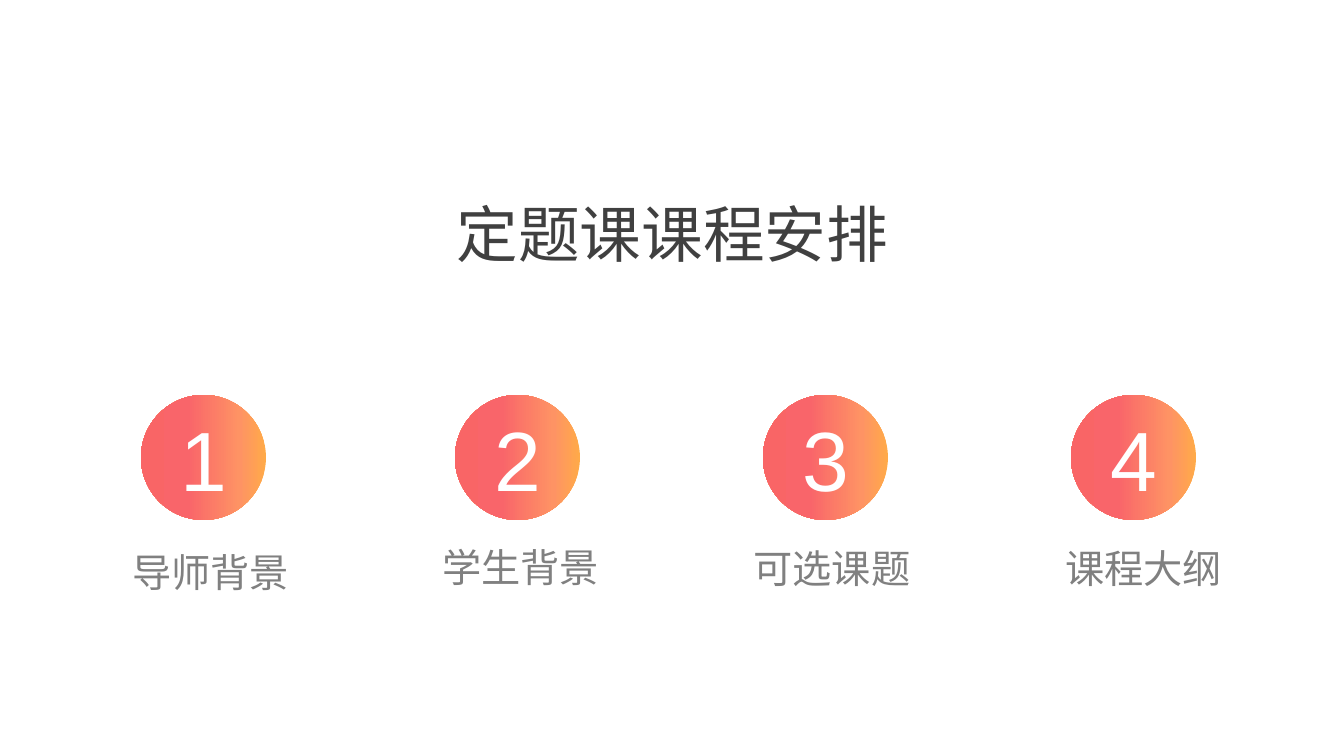
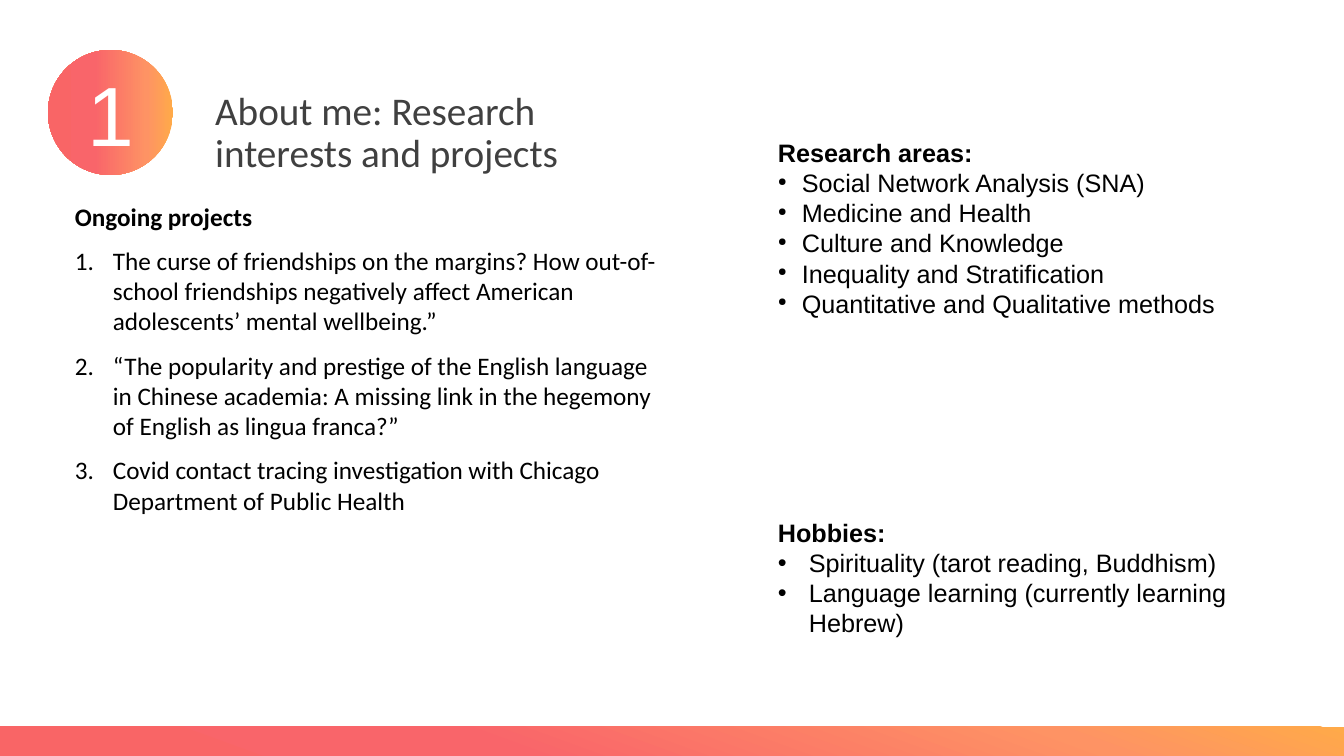
import pptx
import pptx.util
import pptx.dml.color
import pptx.enum.shapes
import pptx.enum.text
import pptx.oxml.ns
import lxml.etree

# Shared measures and colours
SCALE = 914400 / 100.8
COLORS = {"title": "404040", "label": "808080", "body": "000000", "number": "FFFFFF"}
GRADIENT = [(0, "FFAA49"), (21, "FE9364"), (63, "F9656A"), (100, "F96566")]
CIRCLE_SIZE = 125
SHAPES = pptx.enum.shapes.MSO_SHAPE
ALIGN = pptx.enum.text.PP_ALIGN
MIDDLE = pptx.enum.text.MSO_ANCHOR.MIDDLE
qn = pptx.oxml.ns.qn

deck = pptx.Presentation()
deck.slide_width = round(1344 * SCALE)
deck.slide_height = round(756 * SCALE)
title_only = deck.slide_layouts[5]


def write(box, place, lines, font, size, color, align=ALIGN.LEFT, anchor=None, spacing=None):
    """Place a box and fill it with evenly styled paragraphs."""
    box.left, box.top, box.width, box.height = [round(length * SCALE) for length in place]
    frame = box.text_frame
    frame.word_wrap = True
    frame.auto_size = pptx.enum.text.MSO_AUTO_SIZE.NONE
    frame.vertical_anchor = anchor or pptx.enum.text.MSO_ANCHOR.TOP
    frame.text = "\n".join(lines)
    for para in frame.paragraphs:
        para.alignment = align
        para.line_spacing = spacing
        para.font.name = font
        para.font.size = pptx.util.Pt(size)
        para.font.color.rgb = pptx.dml.color.RGBColor.from_string(COLORS[color])
    return frame


def add_gradient_shape(page, kind, place, angle):
    """Add a borderless shape with the deck's gradient, angle counter-clockwise."""
    shape = page.shapes.add_shape(kind, *[round(length * SCALE) for length in place])
    shape.shadow.inherit = False
    shape.line.fill.background()
    shape.fill.gradient()
    shape.fill.gradient_angle = angle
    stops = shape._element.spPr.find(".//" + qn("a:gsLst"))
    for stop in list(stops):
        stops.remove(stop)
    for position, color in GRADIENT:
        stop = lxml.etree.SubElement(stops, qn("a:gs"), pos=str(position * 1000))
        lxml.etree.SubElement(stop, qn("a:srgbClr"), val=color)
    return shape


# Pages and their titles
agenda = deck.slides.add_slide(title_only)
write(agenda.shapes.title, (118, 211, 1109, 53), ["定题课课程安排"],
      "Calibri", 44, "title", ALIGN.CENTER, MIDDLE, 0.9)

about = deck.slides.add_slide(title_only)
add_gradient_shape(about, SHAPES.RECTANGLE, (0, 727, 1344, 29), 250)
write(about.shapes.title, (205, 86, 410, 96), ["About me: Research interests and projects"],
      "Calibri", 28, "title", ALIGN.LEFT, MIDDLE, 0.9)

# Numbered circles
circles = [
    (agenda, "1", 141, 395),
    (agenda, "2", 455, 395),
    (agenda, "3", 763, 395),
    (agenda, "4", 1071, 395),
    (about, "1", 48, 50),
]
for page, number, left, top in circles:
    place = (left, top, CIRCLE_SIZE, CIRCLE_SIZE)
    circle = add_gradient_shape(page, SHAPES.OVAL, place, 180)
    write(circle, place, [number], "Arial", 60, "number", ALIGN.CENTER, MIDDLE)

# Agenda labels
labels = [
    ("导师背景", (114, 562, 193, 25)),
    ("学生背景", (429, 566, 183, 8)),
    ("可选课题", (736, 558, 192, 25)),
    ("课程大纲", (1038, 560, 211, 22)),
]
for label, place in labels:
    write(agenda.shapes.add_textbox(0, 0, 0, 0), place, [label],
          "Calibri", 28, "label", ALIGN.CENTER, MIDDLE, 0.9)

# Lists: place, font, space before, indent, bullet elements, lines
lists = [
    ((65, 196, 611, 490), "Calibri", 10, 38,
     [("a:buFont", {"typeface": "+mj-lt"}), ("a:buAutoNum", {"type": "arabicPeriod"})],
     ["Ongoing projects",
      "The curse of friendships on the margins? How out-of-school friendships "
      "negatively affect American adolescents’ mental wellbeing.”",
      "“The popularity and prestige of the English language in Chinese academia: "
      "A missing link in the hegemony of English as lingua franca?”",
      "Covid contact tracing investigation with Chicago Department of Public Health"]),
    ((768, 132, 527, 148), "Arial", 0, 24,
     [("a:buSzPct", {"val": "45000"}), ("a:buChar", {"char": "●"})],
     ["Research areas:",
      "Social Network Analysis (SNA)",
      "Medicine and Health",
      "Culture and Knowledge",
      "Inequality and Stratification",
      "Quantitative and Qualitative methods"]),
    ((768, 512, 517, 132), "Arial", 0, 31,
     [("a:buFont", {"typeface": "Arial"}), ("a:buChar", {"char": "•"})],
     ["Hobbies:",
      "Spirituality (tarot reading, Buddhism)",
      "Language learning (currently learning Hebrew)"]),
]
for place, font, gap, indent, bullet, lines in lists:
    box = about.shapes.add_textbox(0, 0, 0, 0)
    heading, *items = write(box, place, lines, font, 18, "body").paragraphs
    heading.font.bold = True
    for para in items:
        para.space_before = pptx.util.Pt(gap)
        properties = para._p.get_or_add_pPr()
        properties.set("marL", str(round(indent * SCALE)))
        properties.set("indent", str(round(-indent * SCALE)))
        marks = [lxml.etree.Element(qn(tag), values) for tag, values in bullet]
        for mark in marks:
            properties.find(qn("a:defRPr")).addprevious(mark)

deck.save("out.pptx")
